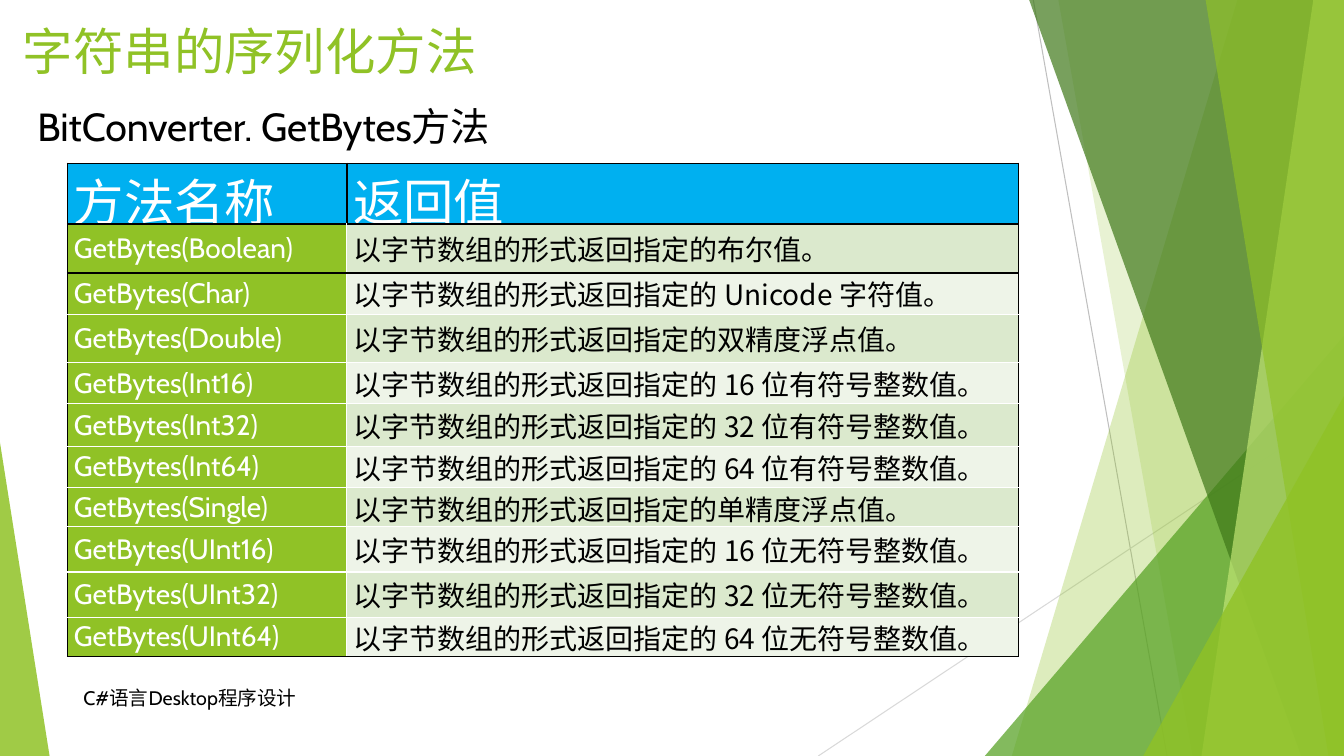
import pptx
import pptx.util
import pptx.dml.color
import pptx.enum.shapes
import pptx.enum.text
import pptx.oxml
import pptx.oxml.ns
from lxml import etree
from pptx.util import Cm

WIDTH, HEIGHT = 33.87, 19.05
LATIN, CHINESE = "Cabin", "Noto Sans CJK SC"
GREEN, BLACK, WHITE = "90C226", "000000", "FFFFFF"
MIDDLE = pptx.enum.text.MSO_ANCHOR.MIDDLE
METHODS = [
    ("Boolean", "布尔值", 1.24),
    ("Char", " Unicode 字符值", 1.04),
    ("Double", "双精度浮点值", 1.22),
    ("Int16", " 16 位有符号整数值", 1.04),
    ("Int32", " 32 位有符号整数值", 1.07),
    ("Int64", " 64 位有符号整数值", 1.04),
    ("Single", "单精度浮点值", 0.99),
    ("UInt16", " 16 位无符号整数值", 1.14),
    ("UInt32", " 32 位无符号整数值", 1.14),
    ("UInt64", " 64 位无符号整数值", 0.99),
]


def color(value):
    return pptx.dml.color.RGBColor.from_string(value)


def add_child(parent, tag, **attributes):
    return etree.SubElement(parent, pptx.oxml.ns.qn(tag), attributes)


def paint(shape, fill, opacity):
    shape.shadow.inherit = False
    shape.line.fill.background()
    shape.fill.solid()
    shape.fill.fore_color.rgb = color(fill)
    fill_color = shape.fill._xPr.find(".//" + pptx.oxml.ns.qn("a:srgbClr"))
    add_child(fill_color, "a:alpha", val=str(opacity * 1000))


def add_band(slide, top_x, bottom_x, fill, opacity):
    builder = slide.shapes.build_freeform(Cm(top_x), Cm(-0.02))
    corners = [(WIDTH, -0.02), (WIDTH, HEIGHT), (bottom_x, HEIGHT)]
    builder.add_line_segments([(Cm(x), Cm(y)) for x, y in corners])
    paint(builder.convert_to_shape(), fill, opacity)


def add_triangle(slide, left, top, width, apex, fill, opacity):
    kind = pptx.enum.shapes.MSO_SHAPE.ISOSCELES_TRIANGLE
    shape = slide.shapes.add_shape(kind, Cm(left), Cm(top), Cm(width), Cm(HEIGHT - top))
    shape.adjustments[0] = apex
    paint(shape, fill, opacity)


def add_line(slide, start, end, line_color):
    kind = pptx.enum.shapes.MSO_CONNECTOR.STRAIGHT
    connector = slide.shapes.add_connector(kind, *map(Cm, start + end))
    connector.line.color.rgb = color(line_color)
    connector.line.width = pptx.util.Pt(0.75)
    add_child(connector._element.spPr, "a:effectLst")


def add_run(paragraph, text, size, font, text_color):
    run = paragraph.add_run()
    run.text = text
    run.font.size = pptx.util.Pt(size)
    run.font.name = font
    run.font.color.rgb = color(text_color)
    add_child(run.font._element, "a:ea", typeface=CHINESE)


def add_text(slide, box, text, size, font, text_color, centered=False, anchor=None):
    frame = slide.shapes.add_textbox(*map(Cm, box)).text_frame
    frame.word_wrap = True
    frame.vertical_anchor = anchor
    paragraph = frame.paragraphs[0]
    if centered:
        paragraph.alignment = pptx.enum.text.PP_ALIGN.CENTER
    add_run(paragraph, text, size, font, text_color)


def add_border(cell, side, line_color, width):
    line = add_child(cell._tc.get_or_add_tcPr(), "a:ln" + side, w=str(pptx.util.Pt(width)))
    add_child(add_child(line, "a:solidFill"), "a:srgbClr", val=line_color)


def fill_cell(cell, text, size, font, text_color, fill, borders):
    cell.vertical_anchor = MIDDLE
    cell.margin_left = cell.margin_right = Cm(0.16)
    cell.margin_top = cell.margin_bottom = 0
    add_run(cell.text_frame.paragraphs[0], text, size, font, text_color)
    for side, (line_color, width) in zip("LRTB", borders):
        add_border(cell, side, line_color, width)
    cell.fill.solid()
    cell.fill.fore_color.rgb = color(fill)


def add_method_table(slide):
    heights = [1.45] + [height for _, _, height in METHODS]
    frame = slide.shapes.add_table(
        len(heights), 2, Cm(1.7), Cm(4.11), Cm(23.96), Cm(sum(heights)))
    table = frame.table
    for column, width in zip(table.columns, (7.04, 16.92)):
        column.width = Cm(width)
    for row, height in zip(table.rows, heights):
        row.height = Cm(height)
    thin, thick, light = (BLACK, 1), (BLACK, 1.5), (WHITE, 1)
    fill_cell(table.cell(0, 0), "方法名称", 36, CHINESE, WHITE, "00B0F0",
              (thin, thick, thin, thick))
    fill_cell(table.cell(0, 1), "返回值", 36, CHINESE, WHITE, "00B0F0",
              (thick, thin, thin, thick))
    for index, (kind, value, _) in enumerate(METHODS, 1):
        top = thick if index <= 2 else light
        bottom = thick if index == 1 else thin if index == len(METHODS) else light
        fill_cell(table.cell(index, 0), f"GetBytes({kind})", 20, LATIN, WHITE, GREEN,
                  (thin, light, top, bottom))
        fill_cell(table.cell(index, 1), f"以字节数组的形式返回指定的{value}。", 20, CHINESE,
                  BLACK, "DBE9CD" if index % 2 else "EEF4E8", (light, thin, top, bottom))


def add_backdrop(slide):
    add_line(slide, (26.04, 0), (29.41, HEIGHT), "BFBFBF")
    add_line(slide, (WIDTH, 10.24), (20.62, HEIGHT), "D9D9D9")
    add_band(slide, 31.19, 25.5, GREEN, 30)
    add_band(slide, 26.67, 30.05, GREEN, 20)
    add_triangle(slide, 24.82, 8.46, 9.05, 1, "54A021", 72)
    add_band(slide, 25.93, 32.79, "3F7819", 70)
    add_band(slide, 33.1, 30.28, "C0E474", 70)
    add_band(slide, 30.38, 33.48, GREEN, 65)
    add_triangle(slide, 28.81, 9.98, 5.06, 1, GREEN, 80)
    add_triangle(slide, 0, 11.15, 1.25, 0, GREEN, 85)


def main():
    presentation = pptx.Presentation()
    presentation.slide_width, presentation.slide_height = Cm(WIDTH), Cm(HEIGHT)
    slide = presentation.slides.add_slide(presentation.slide_layouts[6])
    add_backdrop(slide)
    add_text(slide, (1.85, 17.07, 6.63, 1.02), "C#语言Desktop程序设计", 14, LATIN, BLACK,
             anchor=MIDDLE)
    add_text(slide, (0.3, 0.38, 11.99, 1.91), "字符串的序列化方法", 36, CHINESE, GREEN,
             centered=True)
    add_text(slide, (0.69, 2.46, 13, 1.45), "BitConverter. GetBytes方法", 28, LATIN, BLACK)
    add_method_table(slide)
    presentation.save("out.pptx")


if __name__ == "__main__":
    main()
